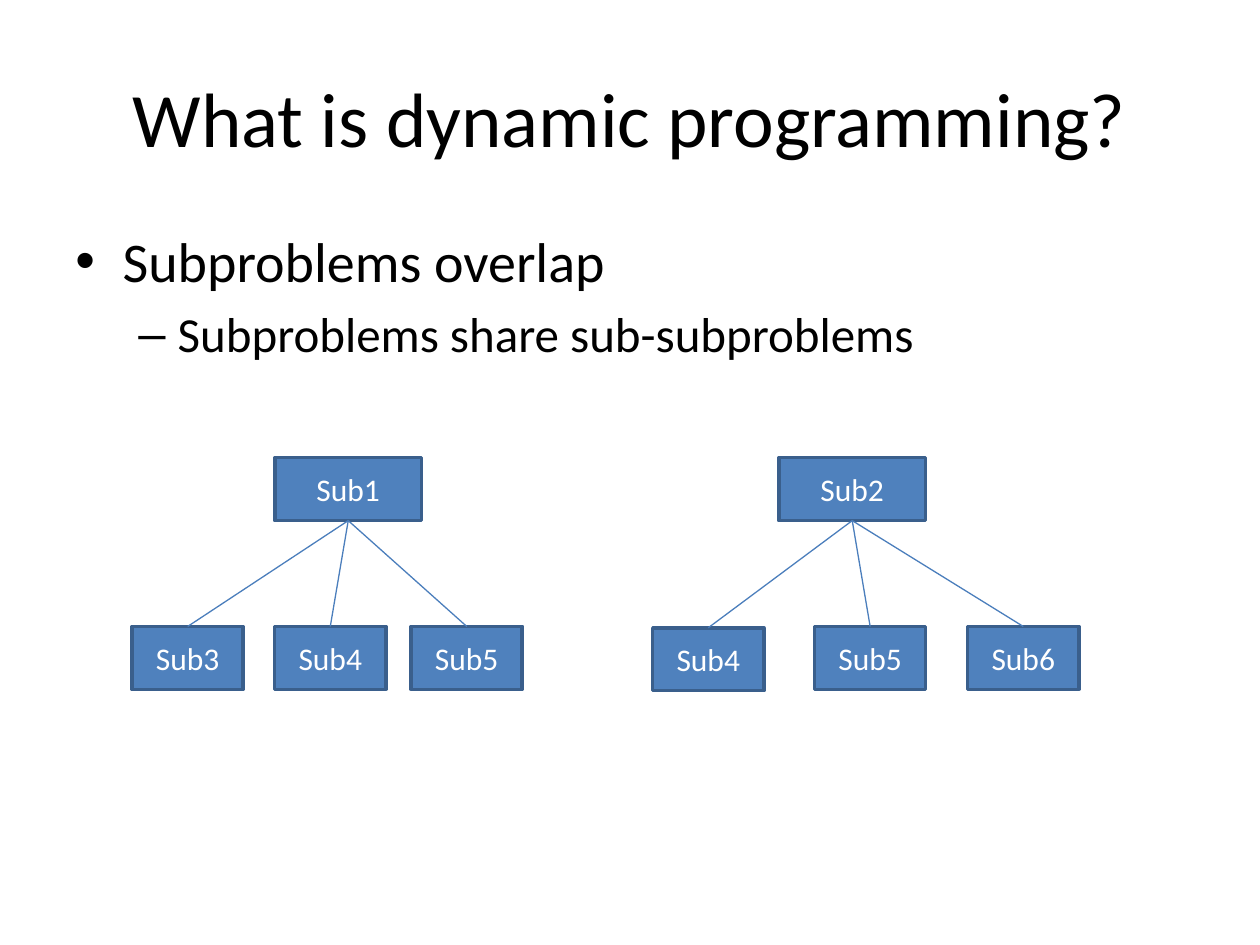
from lxml import etree
from pptx import Presentation
from pptx.dml.color import RGBColor
from pptx.enum.shapes import MSO_CONNECTOR, MSO_SHAPE
from pptx.enum.text import MSO_ANCHOR as ANCHOR, PP_ALIGN as ALIGN
from pptx.oxml.ns import qn
from pptx.util import Pt

FONT = "Calibri"
COLORS = {"text": "000000", "box": "4F81BD", "border": "3A5F8C",
          "link": "4B7EBC", "label": "FFFFFF"}
ROOT_TOP, ROOT_WIDTH = 261.5, 84
CHILD_TOP, CHILD_WIDTH = 358, 63.5
BOX_HEIGHT = 36
TREES = [
    ("Sub1", 157, [("Sub3", 75.5, 0), ("Sub4", 157, 0), ("Sub5", 235, 0)]),
    ("Sub2", 445, [("Sub4", 373, 0.75), ("Sub5", 465.5, 0), ("Sub6", 553, 0)]),
]
BULLETS = [
    ("Subproblems overlap", 32, "•", 27, 27),
    ("Subproblems share sub-subproblems", 28, "–", 58.5, 22.5),
]


def color(name):
    return RGBColor.from_string(COLORS[name])


def add_run(p, text, size, color_name):
    r = p.add_run()
    r.text = text
    r.font.name = FONT
    r.font.size = Pt(size)
    r.font.color.rgb = color(color_name)


def add_textbox(s, left, top, width, height, anchor):
    tf = s.shapes.add_textbox(Pt(left), Pt(top), Pt(width), Pt(height)).text_frame
    tf.word_wrap = True
    tf.vertical_anchor = anchor
    return tf


def add_title(s, text):
    p = add_textbox(s, 36, 21.6, 648, 90, ANCHOR.MIDDLE).paragraphs[0]
    p.alignment = ALIGN.CENTER
    add_run(p, text, 44, "text")


def add_bullets(s, bullets):
    tf = add_textbox(s, 36, 126, 648, 356.4, ANCHOR.TOP)
    for i, (text, size, mark, margin, hang) in enumerate(bullets):
        p = tf.add_paragraph() if i else tf.paragraphs[0]
        p.level = i
        p.space_before = Pt(size * 0.2)
        pPr = p._p.get_or_add_pPr()
        pPr.set("marL", str(Pt(margin)))
        pPr.set("indent", str(-Pt(hang)))
        etree.SubElement(pPr, qn("a:buFont")).set("typeface", "Arial")
        etree.SubElement(pPr, qn("a:buChar")).set("char", mark)
        add_run(p, text, size, "text")


def add_box(s, text, left, top, width):
    sp = s.shapes.add_shape(MSO_SHAPE.RECTANGLE, Pt(left), Pt(top), Pt(width), Pt(BOX_HEIGHT))
    sp.shadow.inherit = False
    sp.fill.solid()
    sp.fill.fore_color.rgb = color("box")
    sp.line.color.rgb = color("border")
    sp.line.width = Pt(2)
    tf = sp.text_frame
    tf.vertical_anchor = ANCHOR.MIDDLE
    p = tf.paragraphs[0]
    p.alignment = ALIGN.CENTER
    add_run(p, text, 18, "label")
    return sp


def add_link(s, parent, child):
    link = s.shapes.add_connector(MSO_CONNECTOR.STRAIGHT, 0, 0, 0, 0)
    link.begin_connect(parent, 2)
    link.end_connect(child, 0)
    link.line.color.rgb = color("link")
    link.line.width = Pt(0.75)
    etree.SubElement(link._element.spPr, qn("a:effectLst"))


def add_tree(s, name, left, children):
    root = add_box(s, name, left, ROOT_TOP, ROOT_WIDTH)
    for child_name, child_left, drop in children:
        child = add_box(s, child_name, child_left, CHILD_TOP + drop, CHILD_WIDTH)
        add_link(s, root, child)


def main():
    prs = Presentation()
    prs.slide_width, prs.slide_height = Pt(720), Pt(540)
    s = prs.slides.add_slide(prs.slide_layouts[6])
    add_title(s, "What is dynamic programming?")
    add_bullets(s, BULLETS)
    for tree in TREES:
        add_tree(s, *tree)
    prs.save("out.pptx")


if __name__ == "__main__":
    main()
